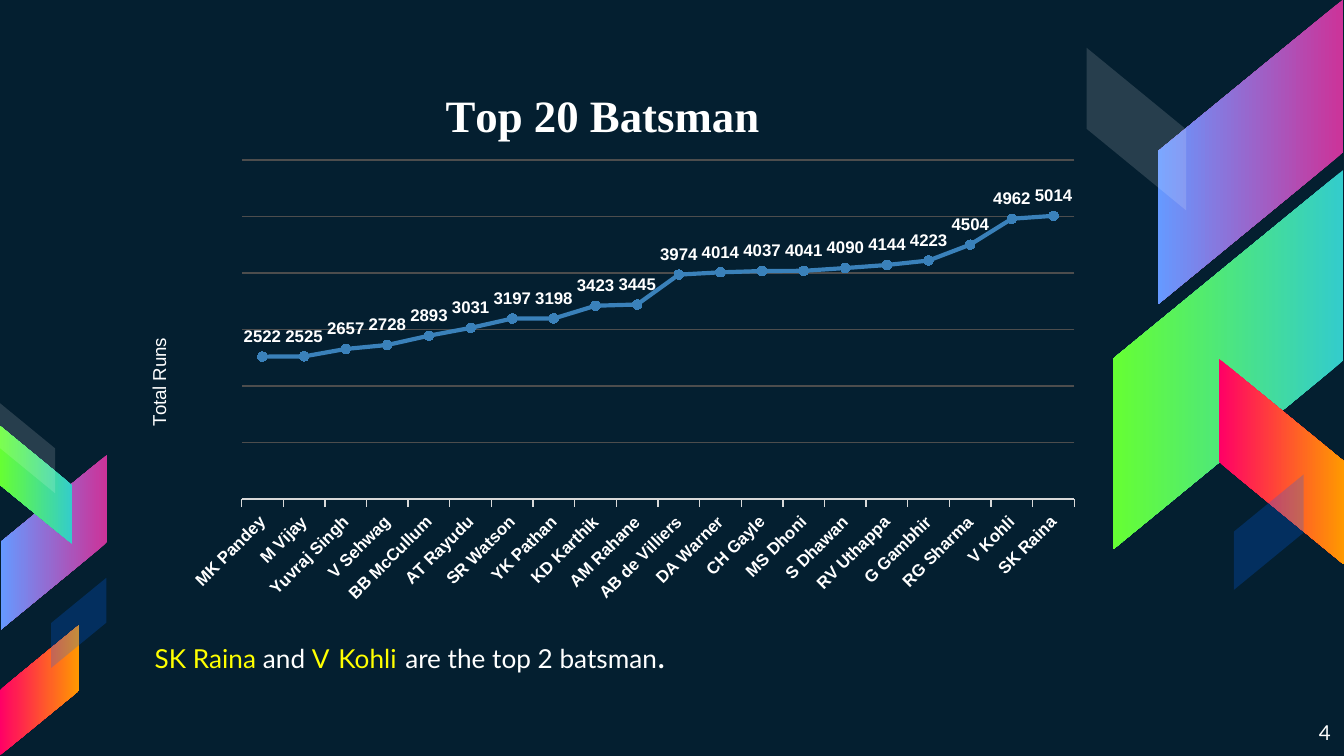
from lxml import etree
from pptx import Presentation
from pptx import util as u
from pptx.chart.data import CategoryChartData
from pptx.dml.color import RGBColor
from pptx.enum import chart as charts, shapes, text
from pptx.oxml.ns import qn

COLOURS = {
    "night": "041F30", "white": "FFFFFF", "yellow": "FFFF00", "blue": "0066FF",
    "magenta": "CC3399", "sky": "6699FF", "teal": "33CCCC", "lime": "66FF33",
    "pink": "FF0066", "orange": "FF9900", "series": "3A81BA",
    "axis": "D9D9D9", "grid": "4D4D4D",
}

# left, top, width, height, rotation, flipped, fill: two colours or colour and opacity
RIGHT_RIBBONS = [
    (8.17, 0.44, 2.27, 1.38, 90, True, ("magenta", "sky")),
    (7.73, 1.82, 2.82, 1.71, 90, True, ("teal", "lime")),
    (8.77, 2.97, 1.53, 0.93, 270, False, ("pink", "orange")),
    (7.85, 0.59, 1.21, 0.74, 270, False, ("white", 14)),
    (9.01, 3.70, 0.86, 0.52, 270, True, ("blue", 23)),
]
LEFT_RIBBONS = [
    (-0.25, 3.64, 1.30, 0.79, 90, True, ("magenta", "sky")),
    (-0.17, 3.34, 0.88, 0.54, 90, False, ("teal", "lime")),
    (-0.19, 4.84, 0.97, 0.59, 270, True, ("pink", "orange")),
    (-0.13, 3.13, 0.67, 0.41, 270, False, ("white", 14)),
    (0.25, 4.43, 0.67, 0.41, 270, True, ("blue", 23)),
]
RUNS = {
    "MK Pandey": 2522, "M Vijay": 2525, "Yuvraj Singh": 2657, "V Sehwag": 2728,
    "BB McCullum": 2893, "AT Rayudu": 3031, "SR Watson": 3197, "YK Pathan": 3198,
    "KD Karthik": 3423, "AM Rahane": 3445, "AB de Villiers": 3974, "DA Warner": 4014,
    "CH Gayle": 4037, "MS Dhoni": 4041, "S Dhawan": 4090, "RV Uthappa": 4144,
    "G Gambhir": 4223, "RG Sharma": 4504, "V Kohli": 4962, "SK Raina": 5014,
}
CONCLUSION = [
    (" ", 20, "white"), ("SK Raina ", 14, "yellow"), ("and ", 14, "white"),
    ("V", 14, "yellow"), (" ", 18, "yellow"), ("Kohli", 14, "yellow"),
    (" ", 18, "yellow"), ("are the top 2 batsman", 14, "white"), (".", 18, "white"),
]


def rgb(name):
    """Return a named colour."""
    return RGBColor.from_string(COLOURS[name])


def style_font(font, size, colour="white", name="Arial", bold=False):
    """Set the look of a font."""
    font.size, font.name, font.bold = u.Pt(size), name, bold
    font.color.rgb = rgb(colour)


def place(shape, left, top, width, height):
    """Position a shape, in inches."""
    shape.left, shape.top = u.Inches(left), u.Inches(top)
    shape.width, shape.height = u.Inches(width), u.Inches(height)


def set_frame(frame, anchor, alignment):
    """Set the margins, anchor and alignment of a text frame."""
    frame.word_wrap = True
    frame.auto_size = text.MSO_AUTO_SIZE.NONE
    frame.vertical_anchor = anchor
    frame.margin_left = frame.margin_right = u.Inches(0.1)
    frame.margin_top = frame.margin_bottom = u.Inches(0.1)
    frame.paragraphs[0].alignment = alignment


def add_ribbon(group, left, top, width, height, rotation, flipped, colours):
    """Add a slanted ribbon with a gradient or a see-through fill."""
    ribbon = group.shapes.add_shape(
        shapes.MSO_SHAPE.PARALLELOGRAM, u.Inches(left), u.Inches(top),
        u.Inches(width), u.Inches(height))
    ribbon.adjustments[0] = 0.82
    ribbon.rotation = rotation
    ribbon.shadow.inherit = False
    ribbon.line.fill.background()
    properties = ribbon._element.spPr
    if flipped:
        properties.find(qn("a:xfrm")).set("flipH", "1")
    first, second = colours
    if isinstance(second, str):
        ribbon.fill.gradient()
        ribbon.fill.gradient_angle = 270
        for stop, colour in zip(ribbon.fill.gradient_stops, colours):
            stop.color.rgb = rgb(colour)
    else:
        ribbon.fill.solid()
        ribbon.fill.fore_color.rgb = rgb(first)
        colour = properties.find(qn("a:solidFill"))[0]
        etree.SubElement(colour, qn("a:alpha")).set("val", str(second * 1000))


def set_layout(element, index, **values):
    """Give a chart part a manual layout, as fractions of the chart."""
    layout = element.find(qn("c:layout"))
    if layout is None:
        layout = etree.Element(qn("c:layout"))
        element.insert(index, layout)
    manual = etree.SubElement(layout, qn("c:manualLayout"))
    settings = {"xMode": "edge", "yMode": "edge", **values}
    if "w" in values:
        settings = {"layoutTarget": "inner", **settings}
    for tag, value in settings.items():
        etree.SubElement(manual, qn("c:" + tag)).set("val", str(value))


def set_chart_title(title, wording, size, name, bold, x, y):
    """Write and place the title of a chart or an axis."""
    title.text_frame.text = wording
    style_font(title.text_frame.paragraphs[0].runs[0].font, size, "white", name, bold)
    set_layout(title._element, 1, x=x, y=y)


def style_axes(chart):
    """Format the player axis and the hidden runs axis."""
    players, runs = chart.category_axis, chart.value_axis
    style_font(players.tick_labels.font, 9, bold=True)
    players._element.find(qn("c:txPr")).find(qn("a:bodyPr")).set("rot", "-2700000")
    players.major_tick_mark = charts.XL_TICK_MARK.OUTSIDE
    players.format.line.color.rgb = rgb("axis")
    players.format.line.width = u.Pt(0.75)
    runs.minimum_scale, runs.maximum_scale, runs.major_unit = 0, 6000, 1000
    runs.major_gridlines.format.line.color.rgb = rgb("grid")
    runs.major_gridlines.format.line.width = u.Pt(0.75)
    set_chart_title(runs.axis_title, "Total Runs", 10, "Arial", False, 0.03, 0.49)
    body = next(runs.axis_title._element.iter(qn("a:bodyPr")))
    body.set("rot", "-5400000")
    body.set("vert", "horz")
    runs.visible = False


def style_series(series):
    """Format the line, its markers and its labels."""
    series.smooth = False
    series.format.line.color.rgb = rgb("series")
    series.format.line.width = u.Pt(2.25)
    marker = series.marker
    marker.style, marker.size = charts.XL_MARKER_STYLE.CIRCLE, 5
    marker.format.fill.solid()
    marker.format.fill.fore_color.rgb = rgb("series")
    marker.format.line.color.rgb = rgb("series")
    labels = series.data_labels
    labels.show_value = True
    labels.position = charts.XL_LABEL_POSITION.ABOVE
    style_font(labels.font, 9, bold=True)


def add_runs_chart(slide):
    """Add the line chart of runs by player."""
    data = CategoryChartData()
    data.categories = list(RUNS)
    data.add_series("Series 1", list(RUNS.values()))
    chart = slide.shapes.add_chart(
        charts.XL_CHART_TYPE.LINE_MARKERS, u.Inches(0.85), u.Inches(0.5),
        u.Inches(7.29), u.Inches(4.07), data).chart
    chart.has_legend = False
    chart.plots[0].vary_by_categories = False
    style_font(chart.font, 10)
    set_chart_title(chart.chart_title, "Top 20 Batsman", 24, "Times New Roman", True,
                    0.33, 0.02)
    style_axes(chart)
    style_series(chart.plots[0].series[0])
    set_layout(next(chart._chartSpace.iter(qn("c:plotArea"))), 0,
               x=0.13, y=0.17, w=0.85, h=0.62)


def write_conclusion(title):
    """Fill the title with the coloured conclusion."""
    place(title, 0.98, 4.43, 9.39, 0.7)
    set_frame(title.text_frame, text.MSO_ANCHOR.BOTTOM, text.PP_ALIGN.LEFT)
    for wording, size, colour in CONCLUSION:
        run = title.text_frame.paragraphs[0].add_run()
        run.text = wording
        style_font(run.font, size, colour, "Lato")


def add_page_number(slide, number):
    """Add the page number at the lower right."""
    box = slide.shapes.add_textbox(
        u.Inches(9.36), u.Inches(5.26), u.Inches(0.64), u.Inches(0.36))
    box.text_frame.text = number
    set_frame(box.text_frame, text.MSO_ANCHOR.TOP, text.PP_ALIGN.RIGHT)
    style_font(box.text_frame.paragraphs[0].runs[0].font, 11, name="Lato")


def main():
    """Build and save the slide."""
    presentation = Presentation()
    presentation.slide_width = u.Inches(10)
    presentation.slide_height = presentation.slide_width * 9 // 16
    slide = presentation.slides.add_slide(presentation.slide_layouts[5])
    slide.background.fill.solid()
    slide.background.fill.fore_color.rgb = rgb("night")
    for ribbons in (RIGHT_RIBBONS, LEFT_RIBBONS):
        group = slide.shapes.add_group_shape()
        for ribbon in ribbons:
            add_ribbon(group, *ribbon)
    write_conclusion(slide.shapes.title)
    add_page_number(slide, "4")
    add_runs_chart(slide)
    presentation.save("out.pptx")


main()
